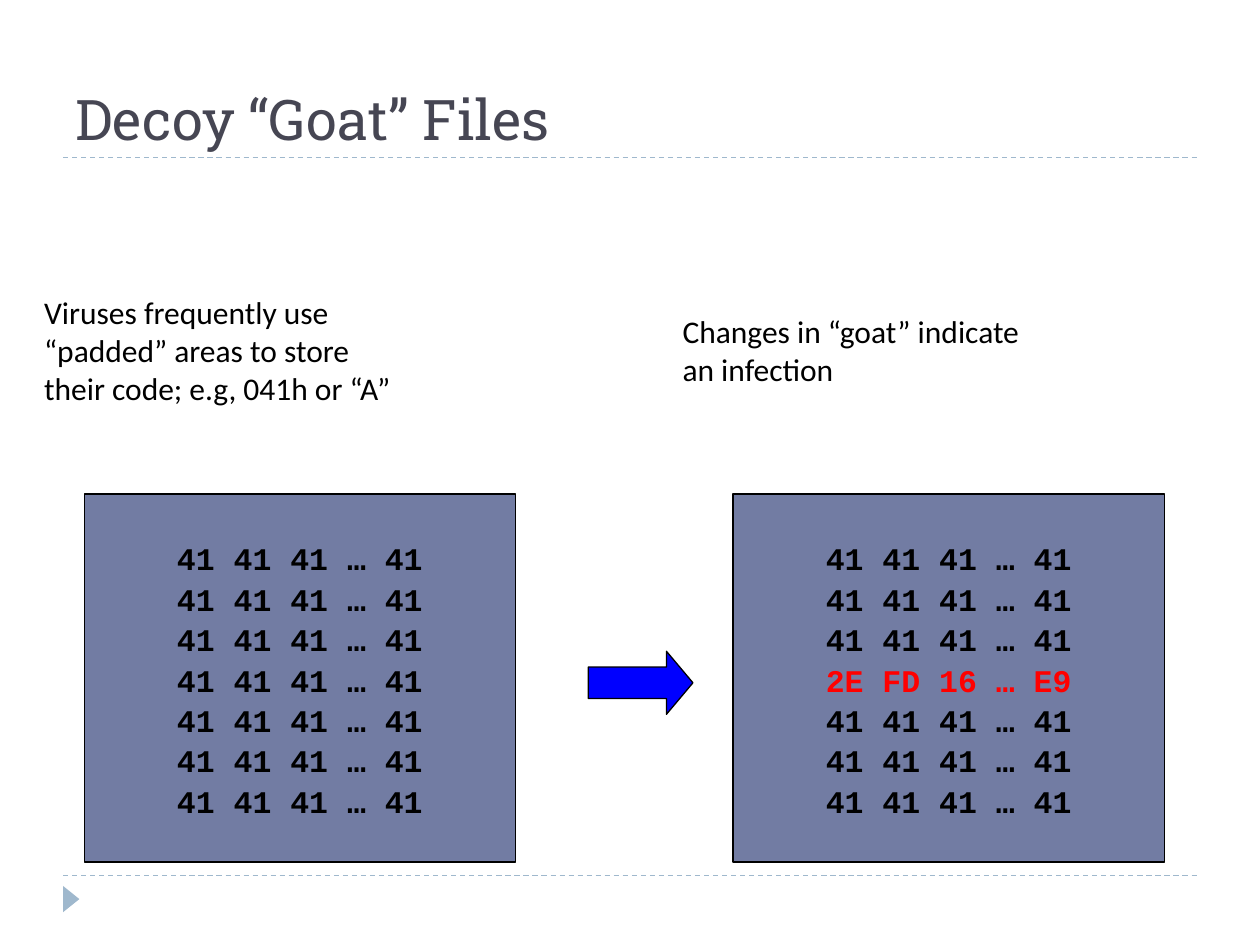
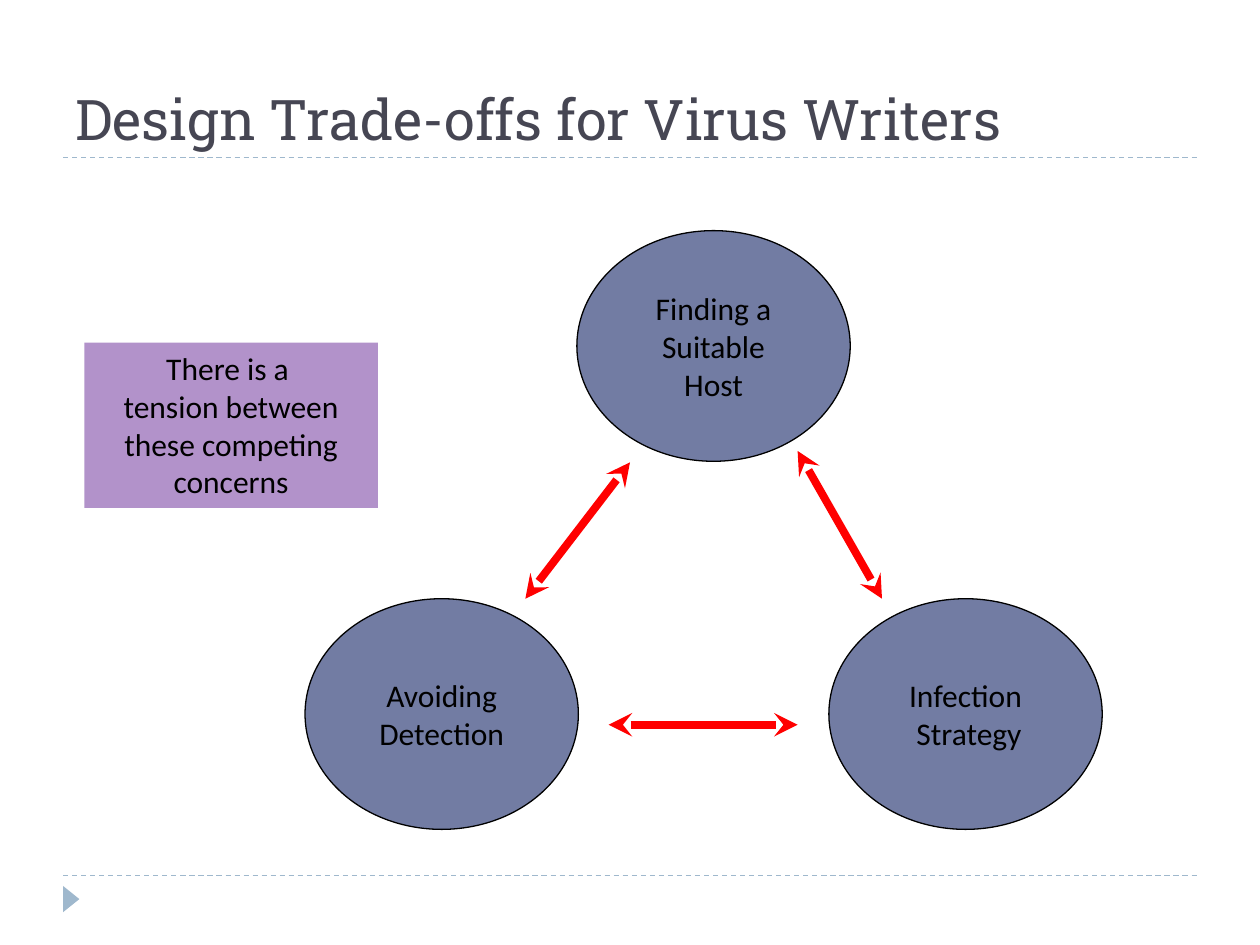
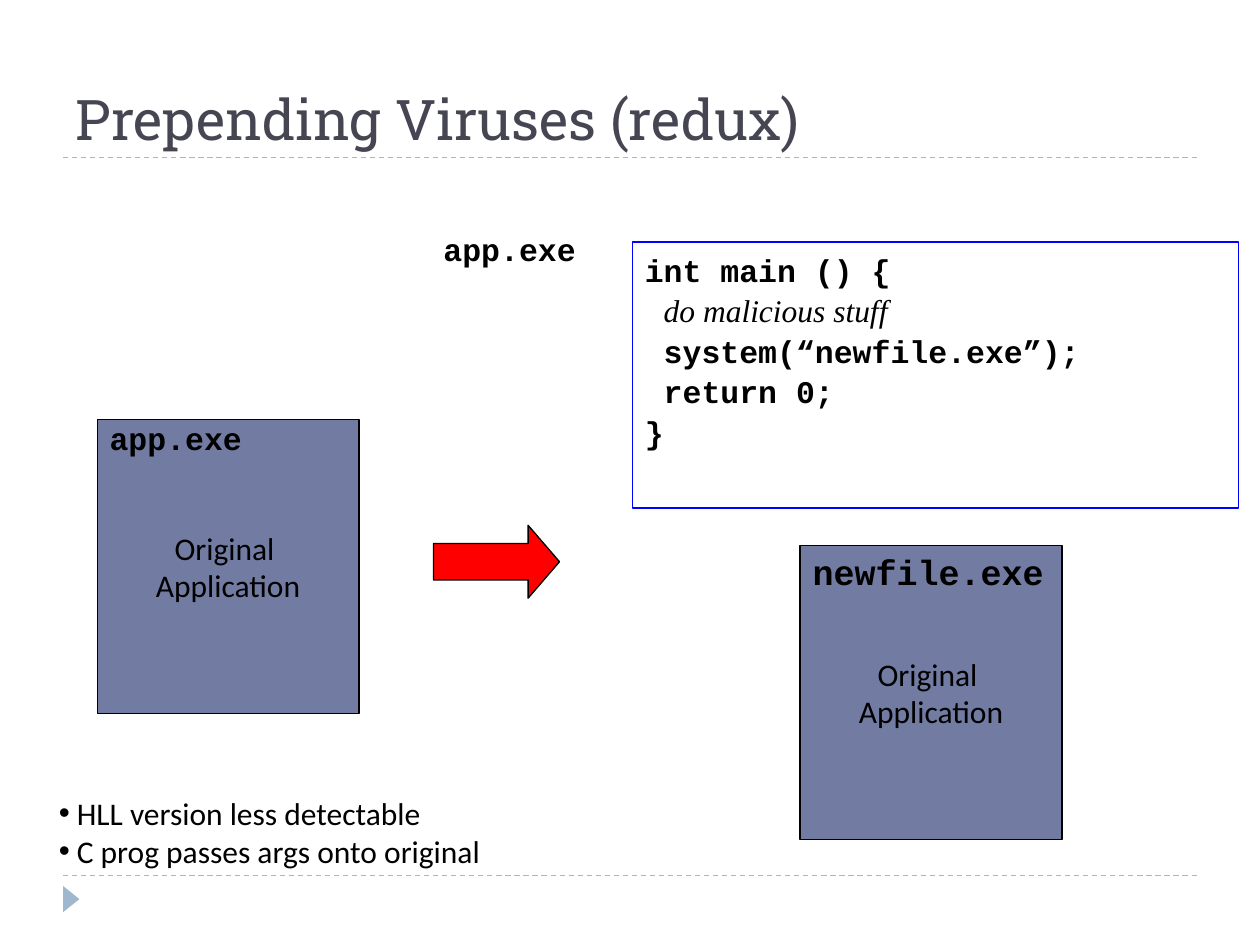
from lxml import etree
from pptx import Presentation
from pptx.dml.color import RGBColor
from pptx.enum import dml, shapes, text
from pptx.oxml import ns
from pptx.util import Cm, Pt

BLACK = RGBColor(0x00, 0x00, 0x00)
RED = RGBColor(0xFF, 0x00, 0x00)
BLUE = RGBColor(0x00, 0x00, 0xFF)
SLATE = RGBColor(0x72, 0x7C, 0xA3)
LILAC = RGBColor(0xB2, 0x92, 0xCA)
PALE_BLUE = RGBColor(0x9F, 0xB8, 0xCD)
TITLE_GREY = RGBColor(0x46, 0x46, 0x53)

BODY = "Calibri"
MONO = "Courier New"
KIND = shapes.MSO_SHAPE
LEFT = text.PP_ALIGN.LEFT
CENTER = text.PP_ALIGN.CENTER
MIDDLE = text.MSO_ANCHOR.MIDDLE
TOP = text.MSO_ANCHOR.TOP


def add_box(slide, place, lines=(), kind=None, fill=None, outline=None,
            font=BODY, size=18, align=LEFT, anchor=TOP):
    place = [Cm(length) for length in place]
    if kind is None:
        box = slide.shapes.add_textbox(*place)
    else:
        box = slide.shapes.add_shape(kind, *place)
        box.shadow.inherit = False
        if fill is None:
            box.fill.background()
        else:
            box.fill.solid()
            box.fill.fore_color.rgb = fill
        if outline is None:
            box.line.fill.background()
        else:
            box.line.color.rgb = outline
            box.line.width = Pt(0.75)
    frame = box.text_frame
    frame.word_wrap = True
    frame.vertical_anchor = anchor
    if align == LEFT:
        frame.margin_right = 0
    if lines:
        frame.text = "\n".join(lines)
    for para in frame.paragraphs:
        para.alignment = align
        if font == MONO:
            para.line_spacing = 1.07
        for span in para.runs:
            span.font.name = font
            span.font.size = Pt(size)
            span.font.bold = font == MONO
            span.font.color.rgb = BLACK
    return box


def add_line(slide, ends, color, width):
    line = slide.shapes.add_connector(
        shapes.MSO_CONNECTOR.STRAIGHT, *[Cm(length) for length in ends])
    line.line.color.rgb = color
    line.line.width = Pt(width)
    etree.SubElement(line._element.spPr, ns.qn("a:effectLst"))
    return line


deck = Presentation()
deck.slide_width = Cm(25.4)
deck.slide_height = Cm(19.05)

pages = []
for heading in ("Decoy “Goat” Files",
                "Design Trade-offs for Virus Writers",
                "Prepending Viruses (redux)"):
    page = deck.slides.add_slide(deck.slide_layouts[5])
    for y in (17.65, 3.18):
        rule = add_line(page, (1.27, y, 24.13, y), PALE_BLUE, 0.75)
        rule.line.dash_style = dml.MSO_LINE.DASH
    marker = add_box(page, (1.17, 17.96, 0.53, 0.33),
                     kind=KIND.ISOSCELES_TRIANGLE, fill=PALE_BLUE)
    marker.rotation = 90
    title = page.shapes.title
    title.left, title.top, title.width, title.height = (
        Cm(1.27), Cm(0.64), Cm(22.86), Cm(2.54))
    frame = title.text_frame
    frame.text = heading
    frame.auto_size = text.MSO_AUTO_SIZE.NONE
    frame.vertical_anchor = text.MSO_ANCHOR.BOTTOM
    para = frame.paragraphs[0]
    para.alignment = LEFT
    span = para.runs[0]
    span.font.name = "Roboto Slab"
    span.font.size = Pt(32)
    span.font.color.rgb = TITLE_GREY
    pages.append(page)

goat_page, tradeoff_page, prepend_page = pages

clean_rows = ["41 41 41 … 41"] * 7
infected_rows = clean_rows[:3] + ["2E FD 16 … E9"] + clean_rows[4:]
for x, rows in ((1.7, clean_rows), (14.78, infected_rows)):
    dump = add_box(goat_page, (x, 9.96, 8.69, 7.42), rows, KIND.RECTANGLE,
                   SLATE, BLACK, MONO, align=CENTER, anchor=MIDDLE)
dump.text_frame.paragraphs[3].runs[0].font.color.rgb = RED
add_box(goat_page, (0.64, 5.79, 10.59, 3.3),
        ["Viruses frequently use", "“padded” areas to store",
         "their code; e.g, 041h or “A”"])
add_box(goat_page, (13.51, 6.17, 10.39, 2.29),
        ["Changes in “goat” indicate", "an infection"])
arrow = add_box(goat_page, (11.86, 13.13, 2.11, 1.27),
                kind=KIND.RIGHT_ARROW, fill=BLUE, outline=BLACK)
arrow.adjustments[1] = 0.42

for x, y, concern in ((6.15, 12.07, ["Avoiding", "Detection"]),
                      (11.63, 4.65, ["Finding a", "Suitable", "Host"]),
                      (16.71, 12.07, ["Infection", " Strategy"])):
    add_box(tradeoff_page, (x, y, 5.51, 4.65), concern, KIND.OVAL,
            SLATE, BLACK, align=CENTER, anchor=MIDDLE)
for ends in ((12.7, 9.32, 10.59, 12.07),
             (16.08, 9.09, 17.78, 12.07),
             (12.27, 14.61, 16.08, 14.61)):
    tension = add_line(tradeoff_page, ends, RED, 4.5)
    stroke = tension.line._get_or_add_ln()
    for tip in ("a:headEnd", "a:tailEnd"):
        etree.SubElement(stroke, ns.qn(tip), type="stealth")
add_box(tradeoff_page, (1.7, 6.91, 5.92, 3.33),
        ["There is a ", "tension between", "these competing", "concerns"],
        KIND.RECTANGLE, LILAC, align=CENTER)

code = add_box(prepend_page, (12.75, 4.88, 12.22, 5.36),
               ["int main () {", " ", " system(“newfile.exe”);",
                " return 0;", "}"],
               KIND.RECTANGLE, outline=BLUE, font=MONO)
span = code.text_frame.paragraphs[1].add_run()
span.text = "do malicious stuff"
span.font.name = "Times New Roman"
span.font.size = Pt(18)
span.font.italic = True
span.font.color.rgb = BLACK

for x, y in ((1.96, 8.46), (16.13, 11)):
    add_box(prepend_page, (x, y, 5.28, 5.92), ["Original ", "Application"],
            KIND.RECTANGLE, SLATE, BLACK, align=CENTER, anchor=MIDDLE)
for place, name, size in (((1.96, 8.26, 4.06, 1.27), "app.exe", 18),
                          ((16.13, 10.92, 5.16, 1.09), "newfile.exe", 20),
                          ((8.69, 4.45, 4.06, 1.27), "app.exe", 18)):
    add_box(prepend_page, place, [name], font=MONO, size=size)
arrow = add_box(prepend_page, (8.74, 10.59, 2.54, 1.47),
                kind=KIND.RIGHT_ARROW, fill=RED, outline=BLACK)
arrow.adjustments[1] = 0.43

remarks = add_box(prepend_page, (0.94, 15.88, 13.23, 2.29),
                  ["HLL version less detectable",
                   "C prog passes args onto original"])
for para in remarks.text_frame.paragraphs:
    properties = para._p.get_or_add_pPr()
    properties.set("marL", str(Cm(0.36)))
    properties.set("indent", str(-Cm(0.36)))
    etree.SubElement(properties, ns.qn("a:buFont"), typeface="Arial")
    etree.SubElement(properties, ns.qn("a:buChar"), char="•")

deck.save("out.pptx")
